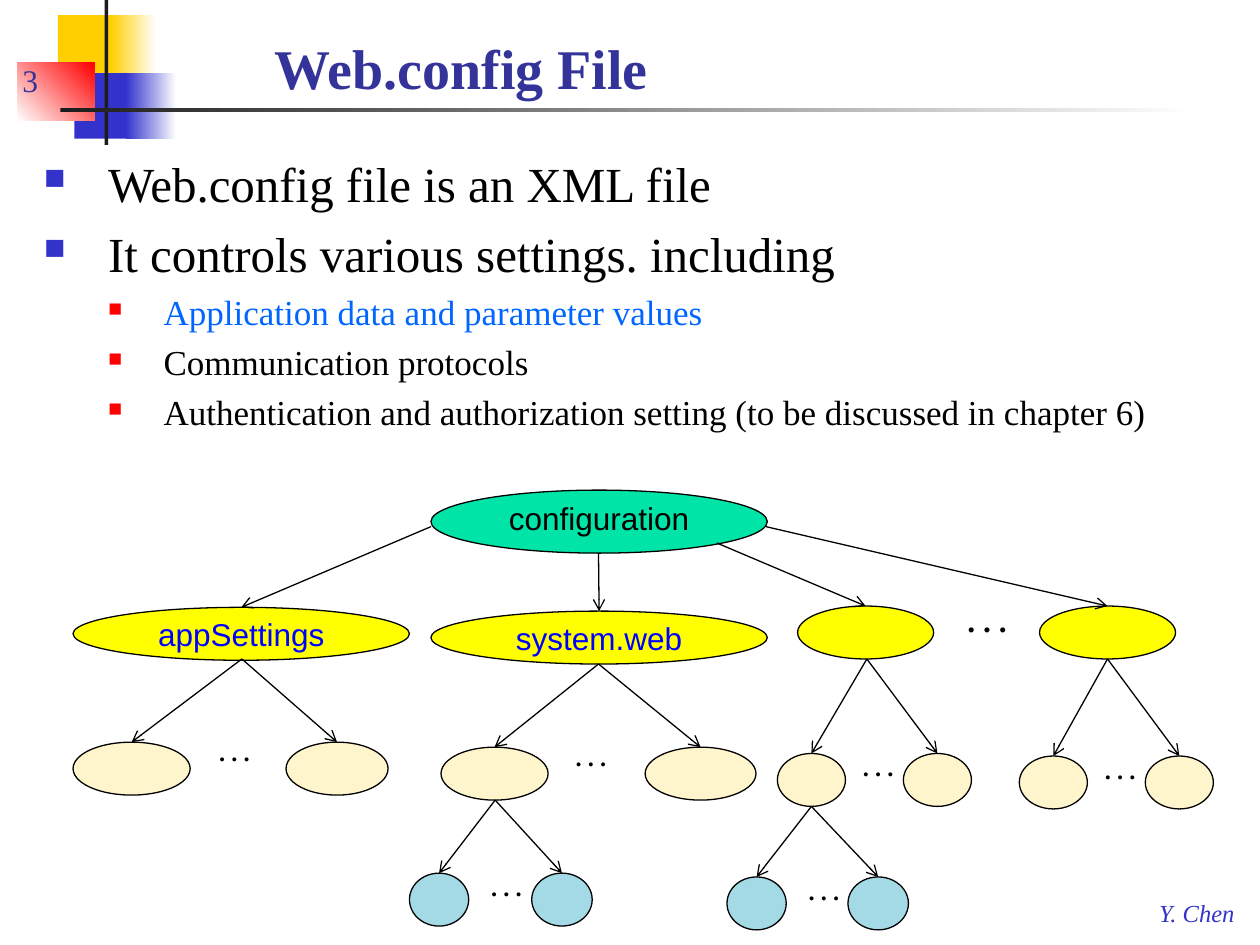
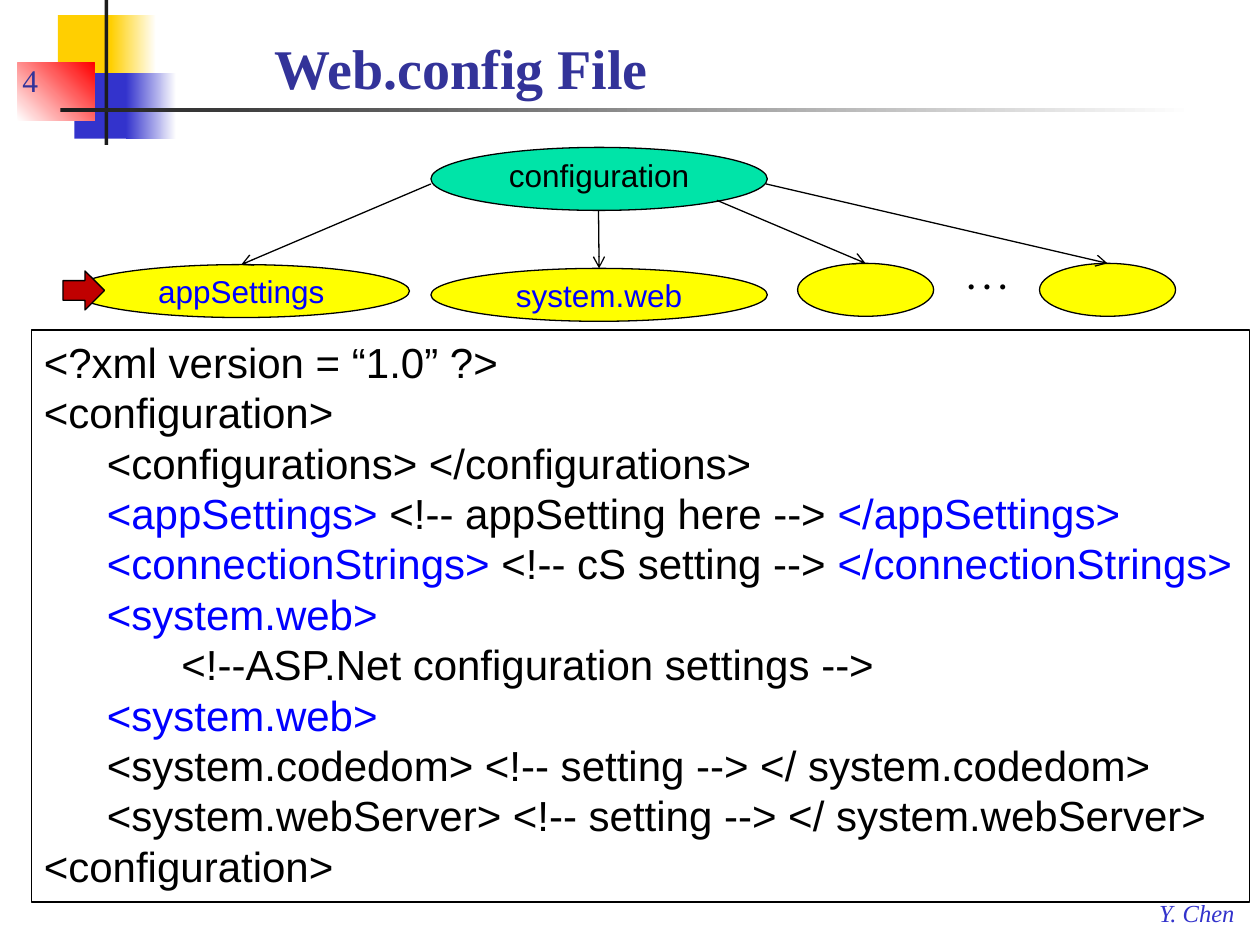
from dataclasses import dataclass

from lxml import etree
from pptx import Presentation
from pptx.dml.color import RGBColor
from pptx.enum.shapes import MSO_CONNECTOR, MSO_SHAPE
from pptx.enum.text import MSO_ANCHOR, PP_ALIGN
from pptx.oxml.ns import qn
from pptx.util import Inches, Pt

RECTANGLE, ELLIPSE, RIGHT_ARROW = MSO_SHAPE.RECTANGLE, MSO_SHAPE.OVAL, MSO_SHAPE.RIGHT_ARROW
STRAIGHT = MSO_CONNECTOR.STRAIGHT
TOP, BOTTOM = MSO_ANCHOR.TOP, MSO_ANCHOR.BOTTOM
CENTER = PP_ALIGN.CENTER


@dataclass(frozen=True)
class Theme:
    serif: str = "Times New Roman"
    sans: str = "Arial"
    black: str = "000000"
    white: str = "FFFFFF"
    ink: str = "1C1C1C"
    title: str = "333399"
    accent: str = "3333CC"
    gold: str = "FFCF01"
    red: str = "FF0000"
    highlight: str = "0066FF"
    tag: str = "0000FF"
    root: str = "00E4A8"
    section: str = "FFFF00"
    element: str = "FFF5CC"
    leaf: str = "A4D9E6"
    marker: str = "C00000"
    title_size: int = 32
    body_size: int = 28
    code_size: int = 24
    detail_size: int = 20
    label_size: int = 18
    small_size: int = 14
    line_width: float = 0.75


theme = Theme()


def add_text(page, box, text, size, color, font=theme.serif, anchor=TOP, wrap=True):
    """Add a text box whose paragraphs share one style, and return it."""
    text_box = page.shapes.add_textbox(*map(Inches, box))
    frame = text_box.text_frame
    frame.word_wrap = wrap
    frame.vertical_anchor = anchor
    frame.text = text
    for para in frame.paragraphs:
        for span in para.runs:
            span.font.name = font
            span.font.size = Pt(size)
            span.font.color.rgb = RGBColor.from_string(color)
    return text_box


def add_filled(page, kind, box, color, fade_to=None, angle=0, outlined=True):
    """Add a preset shape with a plain fill or a two-colour gradient."""
    shape = page.shapes.add_shape(kind, *map(Inches, box))
    shape.shadow.inherit = False
    if fade_to:
        shape.fill.gradient()
        shape.fill.gradient_angle = angle
        for stop, stop_color in zip(shape.fill.gradient_stops, (color, fade_to)):
            stop.color.rgb = RGBColor.from_string(stop_color)
    else:
        shape.fill.solid()
        shape.fill.fore_color.rgb = RGBColor.from_string(color)
    if outlined:
        shape.line.color.rgb = RGBColor.from_string(theme.black)
        shape.line.width = Pt(theme.line_width)
    else:
        shape.line.fill.background()
    return shape


# Decoration shared by the slides: box, colour, fade colour, angle
bands = [
    ((0.46, 0.12, 0.48, 0.52), theme.gold, None, 0),
    ((0.88, 0.12, 0.36, 0.52), theme.gold, theme.white, 0),
    ((0.59, 0.58, 0.46, 0.52), theme.accent, None, 0),
    ((1, 0.58, 0.4, 0.52), theme.accent, theme.white, 0),
    ((0.14, 0.5, 0.61, 0.46), theme.white, theme.red, 45),
    ((0.83, 0, 0.03, 1.15), theme.ink, None, 0),
    ((0.48, 0.86, 9, 0.03), theme.ink, theme.white, 0),
]

# Sections below the root: label, left, drop from the root, width, arrow start
sections = [
    ("appSettings", 0.58, 0.93, 2.67, (3.42, 0.29)),
    ("system.web", 3.42, 0.96, 2.67, (4.75, 0.5)),
    ("", 6.33, 0.92, 1.08, (5.69, 0.42)),
    ("", 8.25, 0.92, 1.08, (6.08, 0.29)),
]
node_height = 0.42

# Lower branches: parent bottom, child top, (left, width) of both children, dots, colour
branches = [
    ((1.92, 5.23), 5.89, [(0.58, 0.93), (2.27, 0.81)], (1.64, 5.8), theme.element),
    ((4.75, 5.27), 5.93, [(3.5, 0.85), (5.12, 0.88)], (4.47, 5.84), theme.element),
    ((6.88, 5.23), 5.98, [(6.17, 0.54), (7.17, 0.54)], (6.75, 5.92), theme.element),
    ((8.79, 5.23), 6, [(8.09, 0.54), (9.09, 0.54)], (8.67, 5.94), theme.element),
    ((3.93, 6.35), 6.93, [(3.25, 0.47), (4.22, 0.48)], (3.8, 6.87), theme.leaf),
    ((6.44, 6.4), 6.96, [(5.77, 0.47), (6.73, 0.48)], (6.32, 6.9), theme.leaf),
]

# Settings list: text, level, colour
settings = [
    ("Web.config file is an XML file", 0, theme.black),
    ("It controls various settings. including", 0, theme.black),
    ("Application data and parameter values", 1, theme.highlight),
    ("Communication protocols", 1, theme.black),
    ("Authentication and authorization setting (to be discussed in chapter 6)", 1, theme.black),
]
# Per level: left margin, hang, size, space before, bullet colour, bullet percent
levels = [
    (0.51, 0.51, theme.body_size, 6.4, theme.accent, 60),
    (0.95, 0.44, theme.detail_size, 4.6, theme.red, 55),
]

# Code lines as (text, colour) spans
code = [
    [("<?xml version = “1.0” ?>", theme.black)],
    [("<configuration>", theme.black)],
    [("\t<configurations> </configurations>", theme.black)],
    [("\t<appSettings> ", theme.tag), ("<!-- appSetting here --> ", theme.black),
     ("</appSettings>", theme.tag)],
    [("\t<connectionStrings> ", theme.tag), ("<!-- cS setting --> ", theme.black),
     ("</connectionStrings>", theme.tag)],
    [("\t<system.web>", theme.tag)],
    [("\t\t <!--ASP.Net configuration settings -->", theme.black)],
    [("\t<system.web>", theme.tag)],
    [("\t<system.codedom> <!-- setting --> </ system.codedom>", theme.black)],
    [("\t<system.webServer> <!-- setting --> </ system.webServer>", theme.black)],
    [("<configuration>", theme.black)],
]

deck = Presentation()
deck.slide_width, deck.slide_height = Inches(10), Inches(7.5)
blank = deck.slide_layouts[6]

# Slide number, top of the tree, lower branches
for number, tree_top, page_branches in [(3, 3.89, branches), (4, 1.17, [])]:
    page = deck.slides.add_slide(blank)

    # Bands, footer, number and title
    for box, color, fade_to, angle in bands:
        add_filled(page, RECTANGLE, box, color, fade_to, angle, outlined=False)
    footer = add_text(page, (9.1, 7.08, 0.82, 0.33), "Y. Chen",
                      theme.small_size, theme.accent, wrap=False)
    footer.text_frame.paragraphs[0].runs[0].font.italic = True
    add_text(page, (0.08, 0.33, 0.75, 0.5), str(number),
             theme.label_size, theme.title, anchor=BOTTOM)
    title = add_text(page, (2.08, 0.17, 7.84, 0.68), "Web.config File",
                     theme.title_size, theme.title, anchor=BOTTOM)
    title.text_frame.paragraphs[0].runs[0].font.bold = True

    # Work out the nodes, arrows and dots of the tree
    nodes = [("configuration", (3.42, tree_top, 2.67, 0.5), theme.root, theme.black)]
    arrows = []
    dots = [((7.58, tree_top + 0.83, 0.52, 0.4), theme.label_size)]
    for label, left, drop, width, (start_x, start_drop) in sections:
        top = tree_top + drop
        nodes.append((label, (left, top, width, node_height), theme.section, theme.tag))
        arrows.append((start_x, tree_top + start_drop, left + width / 2, top))
    for parent, top, children, dots_at, color in page_branches:
        for left, width in children:
            nodes.append(("", (left, top, width, node_height), color, theme.black))
            arrows.append((*parent, left + width / 2, top))
        dots.append(((*dots_at, 0.45, 0.34), theme.small_size))

    # Draw the tree
    for label, box, color, label_color in nodes:
        node = add_filled(page, ELLIPSE, box, color)
        if label:
            node.text_frame.text = label
            node.text_frame.vertical_anchor = TOP
            para = node.text_frame.paragraphs[0]
            para.alignment = CENTER
            para.line_spacing = Pt(18)
            para.runs[0].font.name = theme.sans
            para.runs[0].font.size = Pt(theme.label_size)
            para.runs[0].font.color.rgb = RGBColor.from_string(label_color)
    for ends in arrows:
        arrow = page.shapes.add_connector(STRAIGHT, *map(Inches, ends))
        arrow.line.color.rgb = RGBColor.from_string(theme.black)
        arrow.line.width = Pt(theme.line_width)
        etree.SubElement(arrow.line._get_or_add_ln(), qn("a:tailEnd"), type="arrow")
        etree.SubElement(arrow._element.spPr, qn("a:effectLst"))
    for box, size in dots:
        ellipsis = add_text(page, box, ". . .", size, theme.black, wrap=False)
        ellipsis.text_frame.paragraphs[0].runs[0].font.bold = True

# Slide 3: bulleted settings
page = deck.slides[0]
body = add_text(page, (0.25, 1.17, 9.67, 2.33), "\n".join(text for text, _, _ in settings),
                theme.body_size, theme.black)
for index, (para, (_, level, color)) in enumerate(zip(body.text_frame.paragraphs, settings)):
    margin, hang, size, space, bullet_color, percent = levels[level]
    para.level = level
    properties = para._p.get_or_add_pPr()
    properties.set("marL", str(Inches(margin)))
    properties.set("indent", str(-Inches(hang)))
    bullet_fill = etree.SubElement(properties, qn("a:buClr"))
    etree.SubElement(bullet_fill, qn("a:srgbClr"), val=bullet_color)
    etree.SubElement(properties, qn("a:buSzPct"), val=str(percent * 1000))
    etree.SubElement(properties, qn("a:buChar"), char="■")
    if index:
        para.space_before = Pt(space)
    para.runs[0].font.size = Pt(size)
    para.runs[0].font.color.rgb = RGBColor.from_string(color)

# Slide 4: configuration code
page = deck.slides[1]
listing = add_text(page, (0.25, 2.62, 9.67, 4.54),
                   "\n".join(spans[0][0] for spans in code),
                   theme.code_size, theme.black, theme.sans)
listing.line.color.rgb = RGBColor.from_string(theme.black)
listing.line.width = Pt(theme.line_width)
for para, spans in zip(listing.text_frame.paragraphs, code):
    tabs = etree.SubElement(para._p.get_or_add_pPr(), qn("a:tabLst"))
    for stop in (0.5, 1):
        etree.SubElement(tabs, qn("a:tab"), pos=str(Inches(stop)), algn="l")
    for text, _ in spans[1:]:
        para.add_run().text = text
    for span, (_, color) in zip(para.runs, spans):
        span.font.name = theme.sans
        span.font.size = Pt(theme.code_size)
        span.font.color.rgb = RGBColor.from_string(color)

# Slide 4: pointer to appSettings
add_filled(page, RIGHT_ARROW, (0.5, 2.15, 0.33, 0.31), theme.marker)

deck.save("out.pptx")
